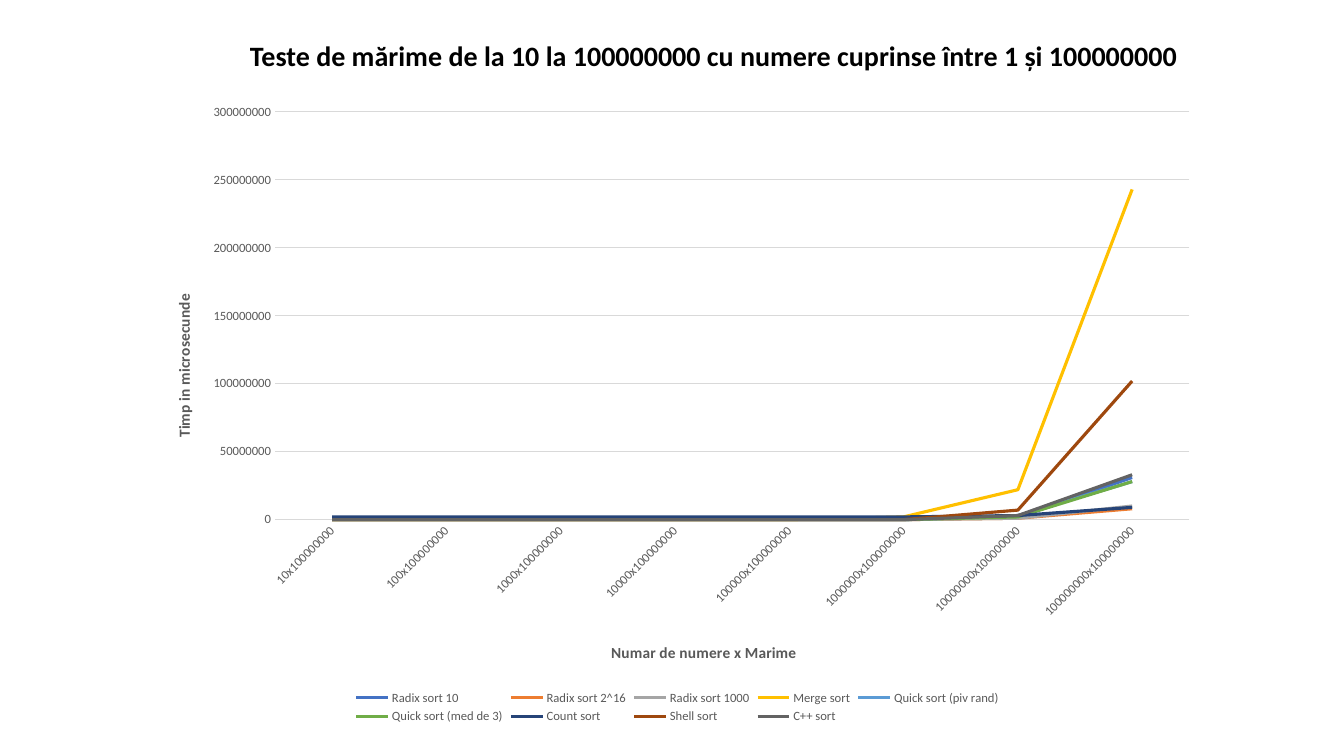
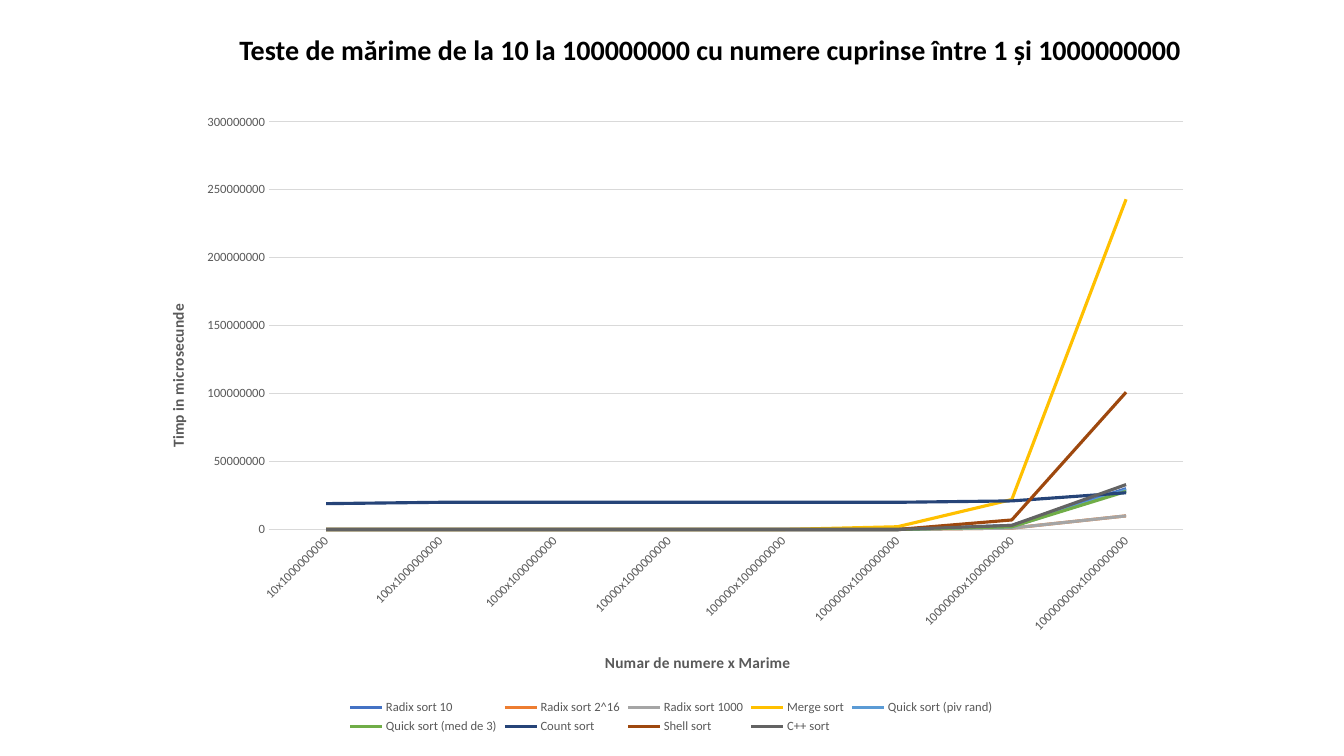
from pptx import Presentation
from pptx.chart.data import CategoryChartData
from pptx.dml.color import RGBColor
from pptx.enum.chart import XL_CHART_TYPE, XL_LEGEND_POSITION, XL_TICK_MARK
from pptx.enum.text import MSO_AUTO_SIZE
from pptx.oxml import parse_xml
from pptx.oxml.ns import nsdecls, qn
from pptx.util import Inches, Pt

FONT = "Calibri"
COLORS = {"title": "000000", "label": "595959", "grid": "D9D9D9"}
SERIES = {
    "Radix sort 10": "4472C4",
    "Radix sort 2^16": "ED7D31",
    "Radix sort 1000": "A5A5A5",
    "Merge sort": "FFC000",
    "Quick sort (piv rand)": "5B9BD5",
    "Quick sort (med de 3)": "70AD47",
    "Count sort": "264478",
    "Shell sort": "9E480E",
    "C++ sort": "636363",
}
SIZES = [10 ** n for n in range(1, 9)]
MILLION = 10 ** 6


def set_layout(element, index, target=None, **shares):
    old = element.find(qn("c:layout"))
    if old is not None:
        element.remove(old)
    parts = f'<c:layoutTarget val="{target}"/>' if target else ""
    parts += "".join(f'<c:{k}Mode val="edge"/>' for k in "xy")
    parts += "".join(f'<c:{k} val="{v}"/>' for k, v in shares.items())
    element.insert(index, parse_xml(
        f'<c:layout {nsdecls("c")}><c:manualLayout>{parts}'
        "</c:manualLayout></c:layout>"))


class Deck:
    def __init__(self):
        self.prs = Presentation()
        self.prs.slide_width = Inches(13.33)
        self.prs.slide_height = Inches(7.5)

    def new_slide(self):
        self.s = self.prs.slides.add_slide(self.prs.slide_layouts[6])

    def box(self, x, y, w, h):
        W, H = self.prs.slide_width, self.prs.slide_height
        return int(x * W), int(y * H), int(w * W), int(h * H)

    def font(self, font, size, color, bold=False):
        font.name, font.size, font.bold = FONT, Pt(size), bold
        font.color.rgb = RGBColor.from_string(COLORS[color])

    def line(self, fmt, color, width):
        fmt.line.color.rgb = RGBColor.from_string(color)
        fmt.line.width = Pt(width)

    def title(self, text, *place):
        tf = self.s.shapes.add_textbox(*self.box(*place)).text_frame
        tf.word_wrap = True
        tf.auto_size = MSO_AUTO_SIZE.SHAPE_TO_FIT_TEXT
        tf.margin_left = Inches(1.68)
        p = tf.paragraphs[0]
        p.text = text
        self.font(p.runs[0].font, 20, "title", True)

    def axis(self, axis, title, x, y, title_turn, label_turn):
        axis.major_tick_mark = axis.minor_tick_mark = XL_TICK_MARK.NONE
        self.font(axis.tick_labels.font, 9, "label")
        body = axis._element.find(qn("c:txPr")).find(qn("a:bodyPr"))
        body.set("rot", str(label_turn * 60000))
        tf = axis.axis_title.text_frame
        tf.text = title
        self.font(tf.paragraphs[0].runs[0].font, 11, "label", True)
        tf._txBody.bodyPr.set("rot", str(title_turn * 60000))
        set_layout(axis.axis_title._element, 1, x=x, y=y)

    def line_chart(self, categories, results, *place):
        data = CategoryChartData()
        data.categories = categories
        for name, tail in zip(SERIES, results):
            values = [0] * (len(categories) - len(tail)) + tail
            data.add_series(name, [v * MILLION for v in values])
        chart = self.s.shapes.add_chart(
            XL_CHART_TYPE.LINE, *self.box(*place), data).chart
        self.font(chart.font, 10, "title")
        chart.has_title = False
        chart.has_legend = True
        chart.legend.position = XL_LEGEND_POSITION.BOTTOM
        chart.legend.include_in_layout = False
        self.font(chart.legend.font, 9, "label")
        chart.plots[0].vary_by_categories = False
        for series in chart.plots[0].series:
            series.smooth = False
            self.line(series.format, SERIES[series.name], 2.25)

        sizes, times = chart.category_axis, chart.value_axis
        self.axis(sizes, "Numar de numere x Marime", 0.435, 0.86, 0, -45)
        self.axis(times, "Timp in microsecunde", 0.024, 0.312, -90, 0)
        self.line(sizes.format, COLORS["grid"], 0.75)
        times.format.line.fill.background()
        times.minimum_scale, times.maximum_scale = 0, 300 * MILLION
        times.major_unit = 50 * MILLION
        times.has_major_gridlines = True
        self.line(times.major_gridlines.format, COLORS["grid"], 0.75)
        set_layout(chart._chartSpace.chart.plotArea, 0, "inner",
                   x=0.122, y=0.03, w=0.859, h=0.642)


TESTS = [
    (10 ** 8, (0.06, 0.044, 0.889, 0.059), (0.108, 0.123, 0.792, 0.84),
     [[2, 31], [1, 8], [1, 10], [2, 22, 243], [3, 28], [2, 28],
      [2] * 6 + [3, 9], [7, 102], [3, 33]]),
    (10 ** 9, (0.052, 0.036, 0.895, 0.059), (0.1035, 0.136, 0.792, 0.84),
     [[3, 30], [1, 10], [1, 10], [2, 22, 243], [2, 29], [2, 28],
      [19] + [20] * 5 + [21, 27], [7, 101], [3, 33]]),
]

deck = Deck()
for limit, title_place, chart_place, results in TESTS:
    deck.new_slide()
    deck.title(f"Teste de mărime de la {SIZES[0]} la {SIZES[-1]} cu numere "
               f"cuprinse între 1 și {limit}", *title_place)
    deck.line_chart([f"{n}x{limit}" for n in SIZES], results, *chart_place)
deck.prs.save("out.pptx")
